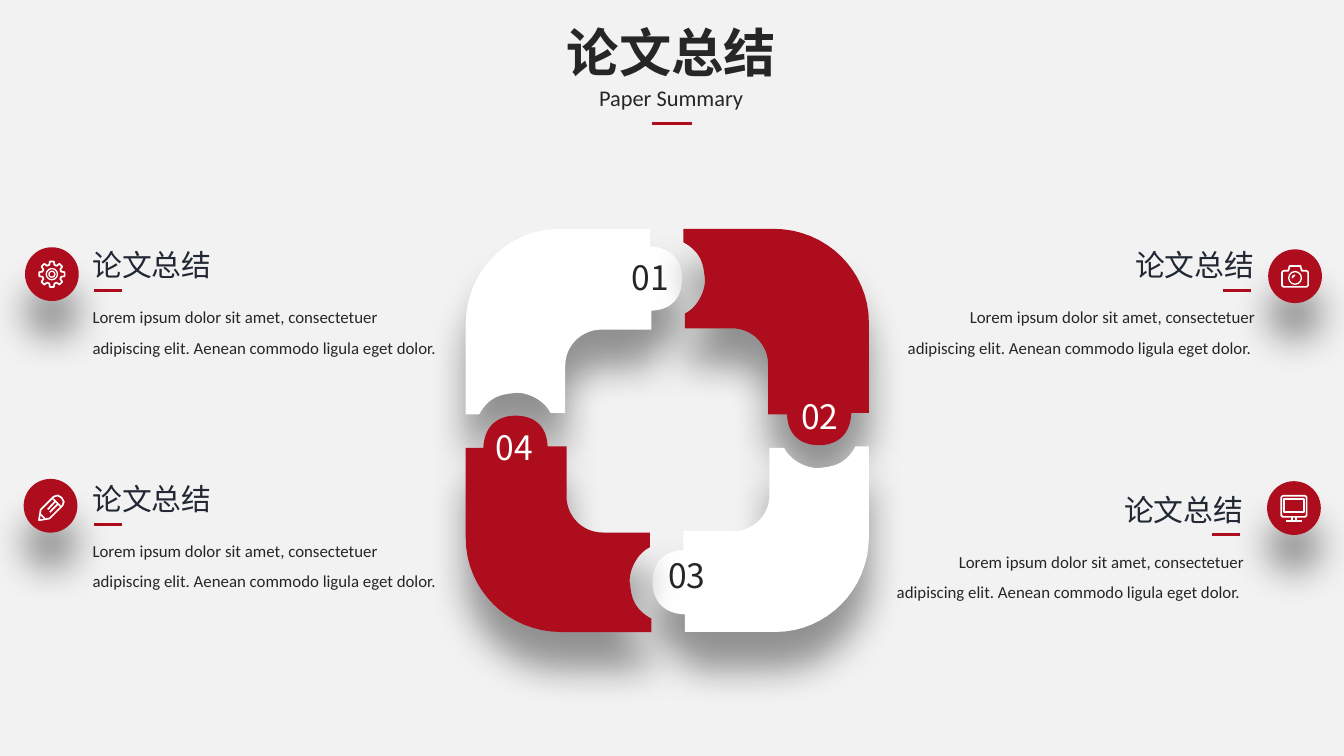
"""Build a one-slide paper summary with a four-piece puzzle ring and four notes."""
from dataclasses import dataclass
from math import cos, radians, sin

from lxml.etree import SubElement
from pptx import Presentation
from pptx.dml.color import RGBColor
from pptx.enum.shapes import MSO_CONNECTOR, MSO_SHAPE
from pptx.enum.text import MSO_AUTO_SIZE, PP_ALIGN
from pptx.oxml.ns import qn
from pptx.util import Pt


@dataclass(frozen=True)
class Theme:
    red: RGBColor = RGBColor(0xAE, 0x0D, 0x1D)
    white: RGBColor = RGBColor(0xFF, 0xFF, 0xFF)
    ink: RGBColor = RGBColor(0x26, 0x26, 0x26)
    navy: RGBColor = RGBColor(0x21, 0x28, 0x34)
    paper: RGBColor = RGBColor(0xF2, 0xF2, 0xF2)
    chinese: str = "Noto Sans CJK SC"
    latin: str = "Calibri"
    title: int = 28
    number: int = 18
    heading: int = 16
    subtitle: int = 12
    body: int = 9


theme = Theme()
presentation = Presentation()
presentation.slide_width, presentation.slide_height = Pt(720), Pt(405)
slide = presentation.slides.add_slide(presentation.slide_layouts[6])
slide.background.fill.solid()
slide.background.fill.fore_color.rgb = theme.paper


def add_text(text, box, size, color, font_name=theme.chinese, align=PP_ALIGN.CENTER,
             wrap=False, spacing=1.0, bold=False):
    frame = slide.shapes.add_textbox(*map(Pt, box)).text_frame
    for name, value in {"word_wrap": wrap, "auto_size": MSO_AUTO_SIZE.SHAPE_TO_FIT_TEXT}.items():
        setattr(frame, name, value)
    paragraph = frame.paragraphs[0]
    run = paragraph.add_run()
    run.text = text
    formats = {"name": font_name, "size": Pt(size), "bold": bold}
    for name, value in formats.items():
        setattr(run.font, name, value)
    run.font.color.rgb = color
    SubElement(run._r.get_or_add_rPr(), qn("a:ea"), typeface=font_name)
    for name, value in {"alignment": align, "line_spacing": spacing}.items():
        setattr(paragraph, name, value)


def add_outline(points, center, fill=None):
    scaled = [((center[0] + x) * 100, (center[1] + y) * 100) for x, y in points]
    builder = slide.shapes.build_freeform(*scaled[0], scale=Pt(1) / 100)
    builder.add_line_segments(scaled[1:], close=fill is not None)
    shape = builder.convert_to_shape()
    shape.shadow.inherit = False
    if fill is None:
        shape.fill.background()
        shape.line.color.rgb = theme.white
        shape.line.width = Pt(0.9)
    else:
        shape.fill.solid()
        shape.fill.fore_color.rgb = fill
        shape.line.fill.background()
    return shape


add_text("论文总结", (295.9, 7.2, 127.4, 41), theme.title, theme.ink, bold=True)
add_text("Paper Summary", (309.6, 41.8, 100, 21.6), theme.subtitle, theme.ink, theme.latin)
rules = [(349.2, 66.2, 21.6)]
raised = []

piece_curves = [
    [(-57.6, -108)], [(-9.4, -108)], [(-9.4, -98.6)],
    [(5, -97.9), (7.9, -87.8), (7.9, -81.4)],
    [(7.9, -74.2), (5, -64.8), (-8.6, -64.1)],
    [(-8.6, -54)], [(-35.3, -54)],
    [(-46.1, -54), (-54.7, -45.4), (-54.7, -34.6)],
    [(-54.7, -9.4)], [(-62.6, -9.4)],
    [(-66.2, -16.6), (-74.9, -20.2), (-80.6, -20.2)],
    [(-87.1, -19.4), (-95, -19.4), (-100.8, -8.6)],
    [(-108, -8.6)], [(-108, -56.9)],
    [(-108, -85), (-85.7, -108), (-57.6, -108)],
]
piece_points = []
for curve in piece_curves:
    if len(curve) == 1:
        piece_points += curve
        continue
    controls = [piece_points[-1], *curve]
    for step in range(1, 17):
        t = step / 16
        weights = ((1 - t) ** 3, 3 * t * (1 - t) ** 2, 3 * t * t * (1 - t), t ** 3)
        piece_points.append(tuple(
            sum(weight * point[axis] for weight, point in zip(weights, controls))
            for axis in (0, 1)))

pieces = [
    ("01", 329.8, 133.9, theme.white, theme.ink),
    ("02", 420.5, 208.8, theme.red, theme.white),
    ("03", 349.2, 293.8, theme.white, theme.ink),
    ("04", 257, 225.4, theme.red, theme.white),
]
for number, left, top, fill, color in pieces:
    raised.append(add_outline(piece_points, (357.5, 230.6), fill))
    add_text(number, (left, top, 37.4, 28.8), theme.number, color, wrap=True)
    piece_points = [(-y, x) for x, y in piece_points]

lorem = ("Lorem ipsum dolor sit amet, consectetuer adipiscing elit. "
         "Aenean commodo ligula eget dolor.")
notes = [
    (42.5, 128.9, 198, PP_ALIGN.LEFT, lorem),
    (42.5, 254.2, 198, PP_ALIGN.LEFT, lorem),
    (470.9, 259.9, 202.3, PP_ALIGN.RIGHT, lorem + " "),
    (476.8, 128.9, 202.3, PP_ALIGN.RIGHT, lorem + " "),
]
for left, top, width, align, text in notes:
    on_left = align == PP_ALIGN.LEFT
    heading_left = left if on_left else left + width - 79.2
    add_text("论文总结", (heading_left, top, 79.2, 26.6), theme.heading, theme.navy, align=align)
    add_text(text, (left, top + 26.6, width, 38.2), theme.body, theme.ink, theme.latin,
             align, wrap=True, spacing=1.5)
    rules.append((left + 7.9 if on_left else left + width - 24, top + 26.6, 14.9))

for left, top, width in rules:
    rule = slide.shapes.add_connector(
        MSO_CONNECTOR.STRAIGHT, Pt(left), Pt(top), Pt(left + width), Pt(top))
    rule.line.color.rgb = theme.red
    rule.line.width = Pt(1.5)
    SubElement(rule._element.spPr, qn("a:effectLst"))

gear = [(radius * cos(radians(45 * tooth + angle)), radius * sin(radians(45 * tooth + angle)))
        for tooth in range(8)
        for angle, radius in ((-15, 5.2), (-9, 6.9), (9, 6.9), (15, 5.2))]
pencil = [(-6.5, 6.5), (-5.6, 0.9), (1.4, -6.1), (3.6, -6.8), (5.6, -5.6),
          (6.8, -3.4), (6.1, -1.4), (-0.9, 5.6), (-6.5, 6.5)]
camera = [(-6.2, -2.9), (-3.6, -2.9), (-2.9, -5.5), (2.9, -5.5), (3.6, -2.9), (6.2, -2.9),
          (7, -2.1), (7, 4.9), (6.2, 5.7), (-6.2, 5.7), (-7, 4.9), (-7, -2.1), (-6.2, -2.9)]
monitor = [(-6, -6.6), (6, -6.6), (6.8, -5.8), (6.8, 3.9), (6, 4.7),
           (-6, 4.7), (-6.8, 3.9), (-6.8, -5.8), (-6, -6.6)]
screen = [(-5.2, -4.8), (5.2, -4.8), (5.2, 2.2), (-5.2, 2.2), (-5.2, -4.8)]
icons = [
    ((27.8, 146.9), (27.8, 146.9), [gear + gear[:1]], [(0, 3), (0, 1.6)]),
    ((27.1, 271), (27.4, 272.2),
     [pencil, [(-5.6, 3.4), (-3.4, 5.6)], [(1, -5), (5, -1)],
      [(-1.8, 0.7), (2.2, -3.6)], [(-0.7, 2.2), (3.6, -2.2)]], []),
    ((693.8, 148), (693.8, 148), [camera, [(-1.5, 1), (-1.1, -0.1), (0, -0.5)]], [(0.9, 3.4)]),
    ((693.2, 272.2), (693.2, 272.2),
     [monitor, screen, [(-1, 5), (-1, 6.8)], [(1, 5), (1, 6.8)], [(-4.2, 6.8), (4.2, 6.8)]], []),
]
for disc_center, icon_center, outlines, rings in icons:
    disc = slide.shapes.add_shape(
        MSO_SHAPE.OVAL, Pt(disc_center[0] - 14.4), Pt(disc_center[1] - 14.4), Pt(28.8), Pt(28.8))
    disc.shadow.inherit = False
    disc.fill.solid()
    disc.fill.fore_color.rgb = theme.red
    disc.line.fill.background()
    raised.append(disc)
    for outline in outlines:
        add_outline(outline, icon_center)
    for offset, radius in rings:
        ring = slide.shapes.add_shape(
            MSO_SHAPE.OVAL, Pt(icon_center[0] - radius), Pt(icon_center[1] + offset - radius),
            Pt(2 * radius), Pt(2 * radius))
        ring.shadow.inherit = False
        ring.fill.background()
        ring.line.color.rgb = theme.white
        ring.line.width = Pt(0.7)

for shape in raised:
    effects = shape._element.spPr.find(qn("a:effectLst"))
    shadow = SubElement(effects, qn("a:outerShdw"), blurRad=str(Pt(20)), dist=str(Pt(20)),
                        dir="5400000", algn="t", rotWithShape="0")
    shade = SubElement(shadow, qn("a:srgbClr"), val="000000")
    SubElement(shade, qn("a:alpha"), val="40000")

presentation.save("out.pptx")
